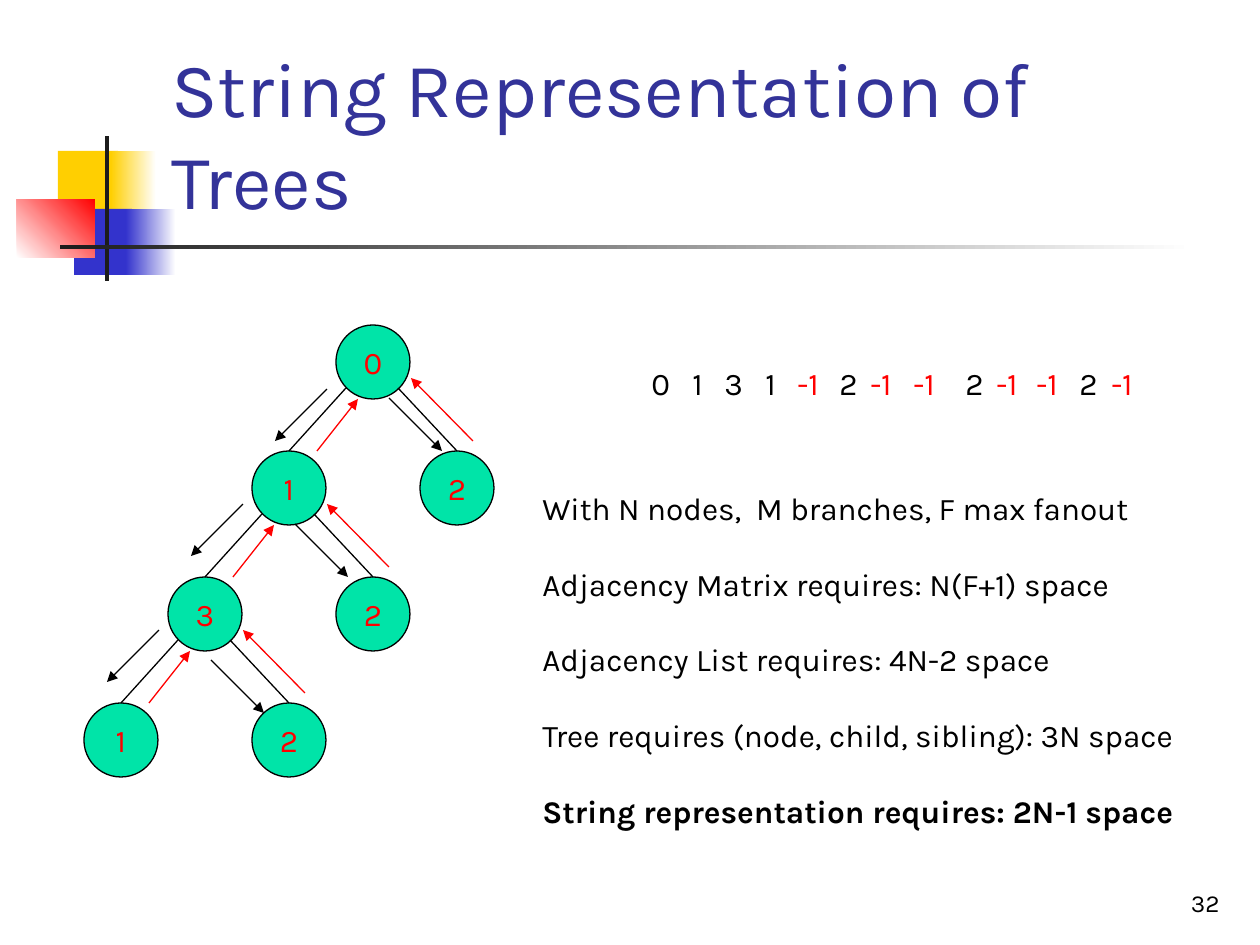
"""Build the slide on the string representation of trees."""
import dataclasses

import pptx
import pptx.dml.color
import pptx.enum.shapes
import pptx.enum.text
import pptx.oxml.ns
import pptx.util
from lxml import etree

SHAPE = pptx.enum.shapes.MSO_SHAPE
ALIGN = pptx.enum.text.PP_ALIGN
ANCHOR = pptx.enum.text.MSO_ANCHOR
qn = pptx.oxml.ns.qn


@dataclasses.dataclass(frozen=True)
class Theme:
    """Colours, font and type sizes of the slide."""
    font: str = "Karla"
    title: str = "333399"
    black: str = "000000"
    red: str = "FF0000"
    node: str = "00E4A8"
    white: str = "FFFFFF"
    yellow: str = "FFCF01"
    blue: str = "3333CC"
    dark: str = "1C1C1C"
    title_size: float = 44
    body_size: float = 18
    number_size: float = 14
    body_gap: float = 21.6
    line_width: float = 0.75


THEME = Theme()
NODE_SIZE = 74
STEP_X, STEP_Y = 84, 126
ROOT = (336, 325)

DECOR = [
    ((58, 151, 60, 66), (THEME.yellow,), 0),
    ((111, 151, 45, 66), (THEME.yellow, THEME.white), 0),
    ((74, 209, 58, 66), (THEME.blue,), 0),
    ((126, 209, 50, 66), (THEME.blue, THEME.white), 0),
    ((17, 199, 78, 59), (THEME.white, THEME.red), 45),
    ((105, 136, 4, 145), (THEME.dark,), 0),
    ((60, 245, 1134, 4), (THEME.dark, THEME.white), 0),
]
# Each level: label of the left and right child, shift of the left and right descent.
LEVELS = [
    ("1", "2", (0, 11), (10, 0)),
    ("3", "2", (0, 0), (0, 0)),
    ("1", "2", (0, 0), (0, 10)),
]
SEQUENCE = [
    ("0", 639), ("1", 680), ("3", 712), ("1", 753), ("-1", 785), ("2", 827), ("-1", 858),
    ("-1", 901), ("2", 953), ("-1", 984), ("-1", 1024), ("2", 1067), ("-1", 1099),
]
COSTS = [
    "With N nodes,  M branches, F max fanout",
    "Adjacency Matrix requires: N(F+1) space",
    "Adjacency List requires: 4N-2 space",
    "Tree requires (node, child, sibling): 3N space",
    "String representation requires: 2N-1 space",
]


def px(n):
    """Turn pixels into EMU."""
    return pptx.util.Emu(round(n * 914400 / 126))


def rgb(value):
    """Turn a hex string into a colour."""
    return pptx.dml.color.RGBColor.from_string(value)


def write(tf, lines, size, color, align=ALIGN.LEFT, gap=0):
    """Fill a text frame with one styled paragraph per line."""
    tf.text = "\n".join(lines)
    for i, p in enumerate(tf.paragraphs):
        p.alignment = align
        if i and gap:
            p.space_before = pptx.util.Pt(gap)
        for r in p.runs:
            r.font.name = THEME.font
            r.font.size = pptx.util.Pt(size)
            r.font.color.rgb = rgb(color)


def add_text(s, box, lines, size, color, wrap=False, anchor=ANCHOR.TOP, **style):
    """Add a text box and return its text frame."""
    tf = s.shapes.add_textbox(*map(px, box)).text_frame
    tf.word_wrap = wrap
    tf.vertical_anchor = anchor
    write(tf, lines, size, color, **style)
    return tf


def add_block(s, box, colors, angle):
    """Add a borderless rectangle with a solid or gradient fill."""
    sp = s.shapes.add_shape(SHAPE.RECTANGLE, *map(px, box))
    sp.shadow.inherit = False
    sp.line.fill.background()
    if len(colors) == 1:
        sp.fill.solid()
        sp.fill.fore_color.rgb = rgb(colors[0])
        return
    sp.fill.gradient()
    sp.fill.gradient_angle = angle
    for stop, color in zip(sp.fill.gradient_stops, colors):
        stop.color.rgb = rgb(color)


def add_node(s, x, y, label):
    """Add a labelled tree node."""
    sp = s.shapes.add_shape(SHAPE.OVAL, *map(px, (x, y, NODE_SIZE, NODE_SIZE)))
    sp.shadow.inherit = False
    sp.fill.solid()
    sp.fill.fore_color.rgb = rgb(THEME.node)
    sp.line.color.rgb = rgb(THEME.black)
    sp.line.width = pptx.util.Pt(THEME.line_width)
    tf = sp.text_frame
    tf.word_wrap = False
    tf.vertical_anchor = ANCHOR.MIDDLE
    write(tf, [label], THEME.body_size, THEME.red, ALIGN.CENTER)


def add_line(s, origin, ends, color=THEME.black, arrow=False, shift=(0, 0)):
    """Add a line whose ends are offsets from a shifted origin."""
    x, y = origin[0] + shift[0], origin[1] + shift[1]
    x1, y1, x2, y2 = ends
    line = s.shapes.add_connector(
        pptx.enum.shapes.MSO_CONNECTOR.STRAIGHT, px(x + x1), px(y + y1), px(x + x2), px(y + y2))
    line.line.color.rgb = rgb(color)
    line.line.width = pptx.util.Pt(THEME.line_width)
    if arrow:
        etree.SubElement(line.line._get_or_add_ln(), qn("a:tailEnd"), type="triangle")
    etree.SubElement(line._element.spPr, qn("a:effectLst"))


def add_tree(s):
    """Add the nodes, the edges and the traversal arrows."""
    x, y = ROOT
    add_node(s, x, y, "0")
    for left, right, left_shift, right_shift in LEVELS:
        parent = (x, y)
        add_node(s, x - STEP_X, y + STEP_Y, left)
        add_node(s, x + STEP_X, y + STEP_Y, right)
        add_line(s, parent, (62, 63, 121, 126))
        add_line(s, parent, (10, 63, -47, 126))
        add_line(s, parent, (-9, 53, -61, 105), arrow=True, shift=left_shift)
        add_line(s, parent, (-19, 126, 22, 74), THEME.red, True)
        add_line(s, parent, (43, 73, 96, 126), arrow=True, shift=right_shift)
        add_line(s, parent, (137, 116, 75, 53), THEME.red, True)
        x, y = x - STEP_X, y + STEP_Y


def add_sequence(s):
    """Add the traversal string, with backtracks in red."""
    for label, x in SEQUENCE:
        back = label == "-1"
        add_text(s, (x, 358, 53 if back else 43, 50), [label], THEME.body_size,
                 THEME.red if back else THEME.black)


def main():
    """Build and save the slide."""
    prs = pptx.Presentation()
    prs.slide_width, prs.slide_height = px(1260), px(945)
    s = prs.slides.add_slide(prs.slide_layouts[6])
    for box, colors, angle in DECOR:
        add_block(s, box, colors, angle)
    add_text(s, (159, 29, 1074, 202), ["String Representation of Trees"], THEME.title_size,
             THEME.title, wrap=True, anchor=ANCHOR.BOTTOM)
    add_tree(s)
    add_sequence(s)
    costs = add_text(s, (530, 483, 692, 353), COSTS, THEME.body_size, THEME.black,
                     gap=THEME.body_gap)
    costs.paragraphs[-1].runs[0].font.bold = True
    add_text(s, (970, 861, 262, 63), ["32"], THEME.number_size, THEME.black, wrap=True,
             anchor=ANCHOR.BOTTOM, align=ALIGN.RIGHT)
    prs.save("out.pptx")


if __name__ == "__main__":
    main()
